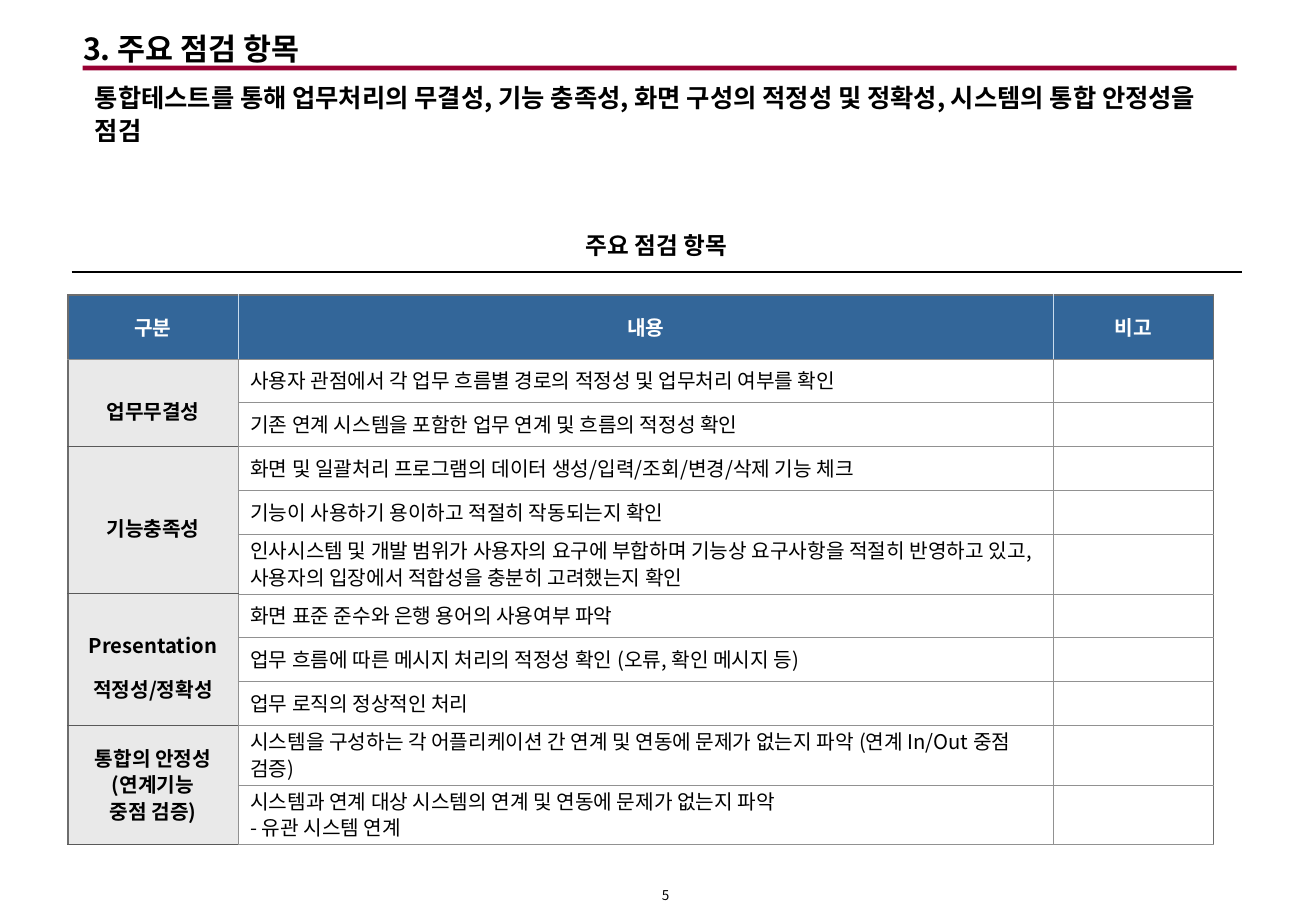
from lxml.etree import SubElement
from pptx import Presentation
from pptx.dml.color import RGBColor
from pptx.enum.shapes import MSO_CONNECTOR as Connector, MSO_SHAPE as Shape
from pptx.enum.text import MSO_ANCHOR as Anchor, MSO_AUTO_SIZE as AutoSize, PP_ALIGN as Align
from pptx.oxml.ns import qn
from pptx.util import Pt

FONT = "Noto Sans CJK KR"
COLORS = {
    "text": "000000", "white": "FFFFFF", "accent": "990033",
    "header": "336699", "category": "E9E9E9", "grid": "919191",
    "frame": "6D6D6D", "header_split": "C9DCED", "group_split": "595959",
}
HEADINGS = ["구분", "내용", "비고"]
CHECKS = [
    ("업무무결성", 1.5, [
        "사용자 관점에서 각 업무 흐름별 경로의 적정성 및 업무처리 여부를 확인",
        "기존 연계 시스템을 포함한 업무 연계 및 흐름의 적정성 확인",
    ]),
    ("기능충족성", 1.5, [
        "화면 및 일괄처리 프로그램의 데이터 생성/입력/조회/변경/삭제 기능 체크",
        "기능이 사용하기 용이하고 적절히 작동되는지 확인",
        "인사시스템 및 개발 범위가 사용자의 요구에 부합하며 기능상 요구사항을 적절히 "
        "반영하고 있고, 사용자의 입장에서 적합성을 충분히 고려했는지 확인",
    ]),
    ("Presentation 적정성/정확성", 1.5, [
        "화면 표준 준수와 은행 용어의 사용여부 파악",
        "업무 흐름에 따른 메시지 처리의 적정성 확인 (오류, 확인 메시지 등)",
        "업무 로직의 정상적인 처리",
    ]),
    ("통합의 안정성\n(연계기능\n중점 검증)", 0.9, [
        "시스템을 구성하는 각 어플리케이션 간 연계 및 연동에 문제가 없는지 파악 "
        "(연계 In/Out 중점 검증)",
        "시스템과 연계 대상 시스템의 연계 및 연동에 문제가 없는지 파악\n- 유관 시스템 연계",
    ]),
]
COLUMN_WIDTHS = [101, 483, 95]
HEADER_HEIGHT, ROW_HEIGHT, TALL_ROW_HEIGHT = 38, 26, 35.3
TALL_ROWS = {5, 9, 10}


def rgb(name):
    return RGBColor.from_string(COLORS[name])


def write(frame, text, size, bold=False, color="text", align=Align.LEFT, spacing=1.0):
    """Fill a text frame, one paragraph for each line of text."""
    frame.text = text
    for para in frame.paragraphs:
        para.alignment = align
        para.line_spacing = spacing
        para.space_before = Pt(0)
        properties = para._p.get_or_add_pPr()
        properties.set("marL", "0")
        properties.set("indent", "0")
        SubElement(properties, qn("a:buNone"))
        para.font.size = Pt(size)
        para.font.bold = bold
        para.font.name = FONT
        para.font.color.rgb = rgb(color)
        SubElement(properties.find(qn("a:defRPr")), qn("a:ea"), typeface=FONT)
        if not para.runs:
            SubElement(para._p, qn("a:endParaRPr"), sz=str(size * 100))


def place(shape, left, top, width, height):
    shape.left, shape.top, shape.width, shape.height = map(Pt, (left, top, width, height))
    shape.text_frame.auto_size = AutoSize.NONE
    shape.text_frame.word_wrap = True
    shape.text_frame.vertical_anchor = Anchor.TOP


def add_heading(page, left, top, width):
    """Title, coloured rule and lead sentence."""
    title, lead = page.shapes.title, page.placeholders[1]
    place(title, left - 7, top, 499, 29)
    write(title.text_frame, "3. 주요 점검 항목", 18, bold=True)
    place(lead, left, top + 29, width, 48)
    write(lead.text_frame, "통합테스트를 통해 업무처리의 무결성, 기능 충족성, 화면 구성의 적정성 및 정확성, "
          "시스템의 통합 안정성을 점검", 15, bold=True, spacing=1.1)
    rule = page.shapes.add_shape(Shape.RECTANGLE, Pt(left), Pt(top + 24.7), Pt(width), Pt(2.9))
    rule.shadow.inherit = False
    rule.fill.solid()
    rule.fill.fore_color.rgb = rgb("accent")
    rule.line.fill.background()


def add_caption(page, left, top, width):
    """Centred table caption over a thin line."""
    box = page.shapes.add_textbox(Pt(left), Pt(top), Pt(width), Pt(24.5))
    box.text_frame.word_wrap = True
    box.text_frame.margin_top = Pt(1.5)
    write(box.text_frame, "주요 점검 항목", 14, bold=True, align=Align.CENTER)
    line_y = Pt(top + 26)
    line = page.shapes.add_connector(Connector.STRAIGHT, Pt(left), line_y, Pt(left + width), line_y)
    line.line.color.rgb = rgb("text")
    line.line.width = Pt(0.75)
    SubElement(line._element.spPr, qn("a:effectLst"))


def style_cell(cell, fill, borders, margin):
    """Borders are (colour, width) for left, right, top and bottom."""
    properties = cell._tc.get_or_add_tcPr()
    for side, (color, width) in zip("LRTB", borders):
        edge = SubElement(properties, qn(f"a:ln{side}"), w=str(Pt(width)))
        SubElement(SubElement(edge, qn("a:solidFill")), qn("a:srgbClr"), val=COLORS[color])
    cell.fill.solid()
    cell.fill.fore_color.rgb = rgb(fill)
    cell.vertical_anchor = Anchor.MIDDLE
    cell.margin_left = cell.margin_right = Pt(7.2)
    cell.margin_top = cell.margin_bottom = Pt(margin)


def add_check_table(page, left, top):
    heights = [HEADER_HEIGHT] + [
        TALL_ROW_HEIGHT if row in TALL_ROWS else ROW_HEIGHT
        for row in range(1, 1 + sum(len(items) for _, _, items in CHECKS))]
    table = page.shapes.add_table(len(heights), 3, Pt(left), Pt(top),
                                  Pt(sum(COLUMN_WIDTHS)), Pt(sum(heights))).table
    table.first_row = table.horz_banding = False
    for column, width in zip(table.columns, COLUMN_WIDTHS):
        column.width = Pt(width)
    for row, height in zip(table.rows, heights):
        row.height = Pt(height)

    frame, grid, group = ("frame", 1), ("grid", 0.5), ("group_split", 0.75)
    split = ("header_split", 0.5)
    for column, heading in enumerate(HEADINGS):
        cell = table.cell(0, column)
        write(cell.text_frame, heading, 12, True, "white", Align.CENTER)
        style_cell(cell, "header", [split if column else frame,
                                    split if column < 2 else frame, frame, grid], 3.6)
    first = 1
    for category, spacing, items in CHECKS:
        last = first + len(items) - 1
        for row, item in enumerate(items, first):
            label = category if row == first else ""
            write(table.cell(row, 0).text_frame, label, 12, True, align=Align.CENTER, spacing=spacing)
            write(table.cell(row, 1).text_frame, item, 12, spacing=0.9)
            write(table.cell(row, 2).text_frame, "", 12)
            style_cell(table.cell(row, 0), "category", [frame, grid, grid if first == 1 else group, group], 1.4)
            style_cell(table.cell(row, 1), "white", [grid] * 4, 1.4)
            style_cell(table.cell(row, 2), "white", [grid, frame, grid, grid], 1.4)
        table.cell(first, 0).merge(table.cell(last, 0))
        first = last + 1


def add_page_number(page, left, top):
    box = page.shapes.add_textbox(Pt(left), Pt(top), Pt(13), Pt(12.5))
    frame = box.text_frame
    frame.word_wrap = False
    frame.vertical_anchor = Anchor.BOTTOM
    frame.margin_left = frame.margin_right = frame.margin_top = frame.margin_bottom = Pt(1.4)
    write(frame, "5", 8, align=Align.CENTER)


def main():
    deck = Presentation()
    deck.slide_width, deck.slide_height = Pt(780), Pt(540)
    page = deck.slides.add_slide(deck.slide_layouts[1])
    add_heading(page, 49, 14.2, 684)
    add_caption(page, 42.5, 135.3, 693.5)
    add_check_table(page, 40.2, 174.8)
    add_page_number(page, 388, 524)
    deck.save("out.pptx")


if __name__ == "__main__":
    main()
